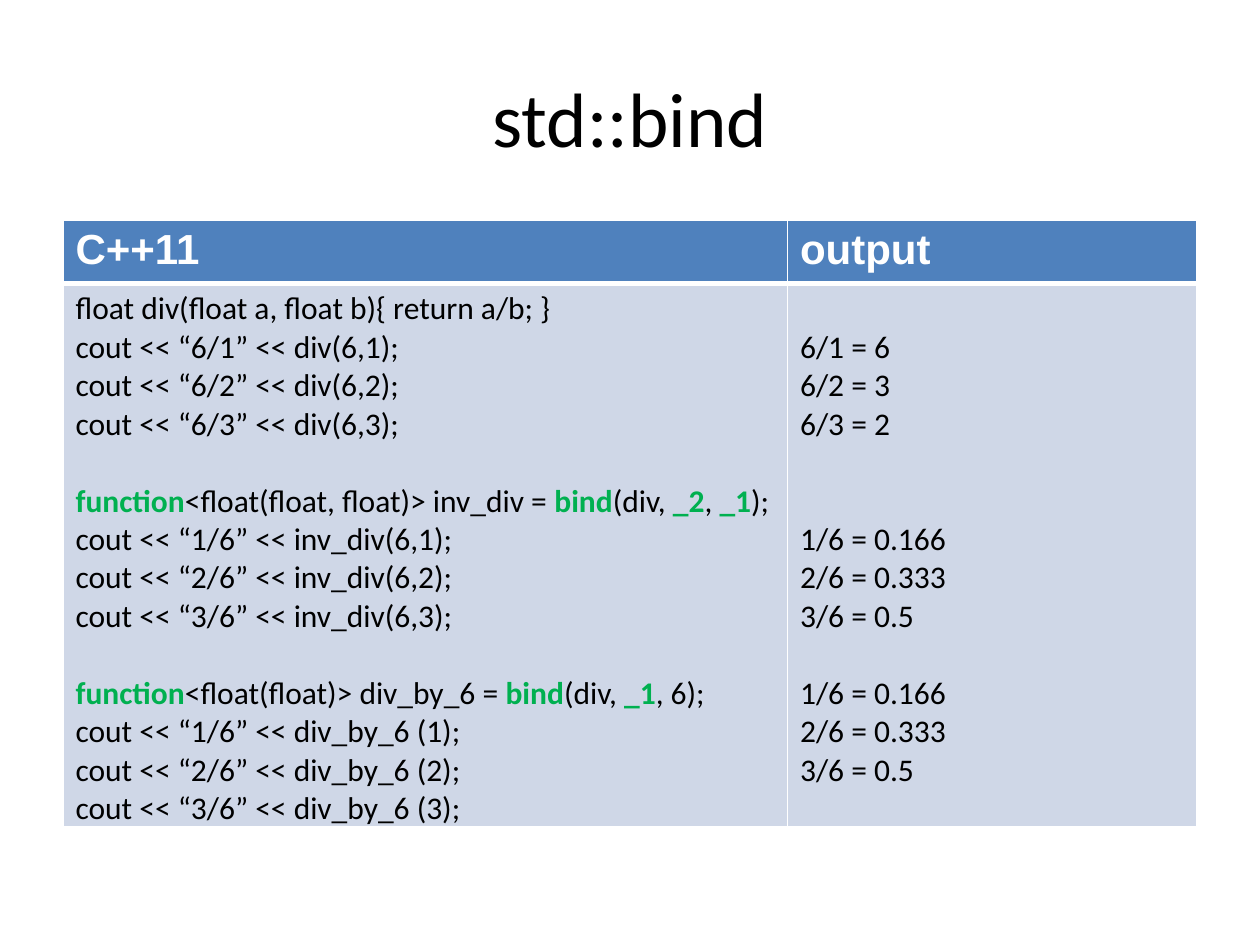
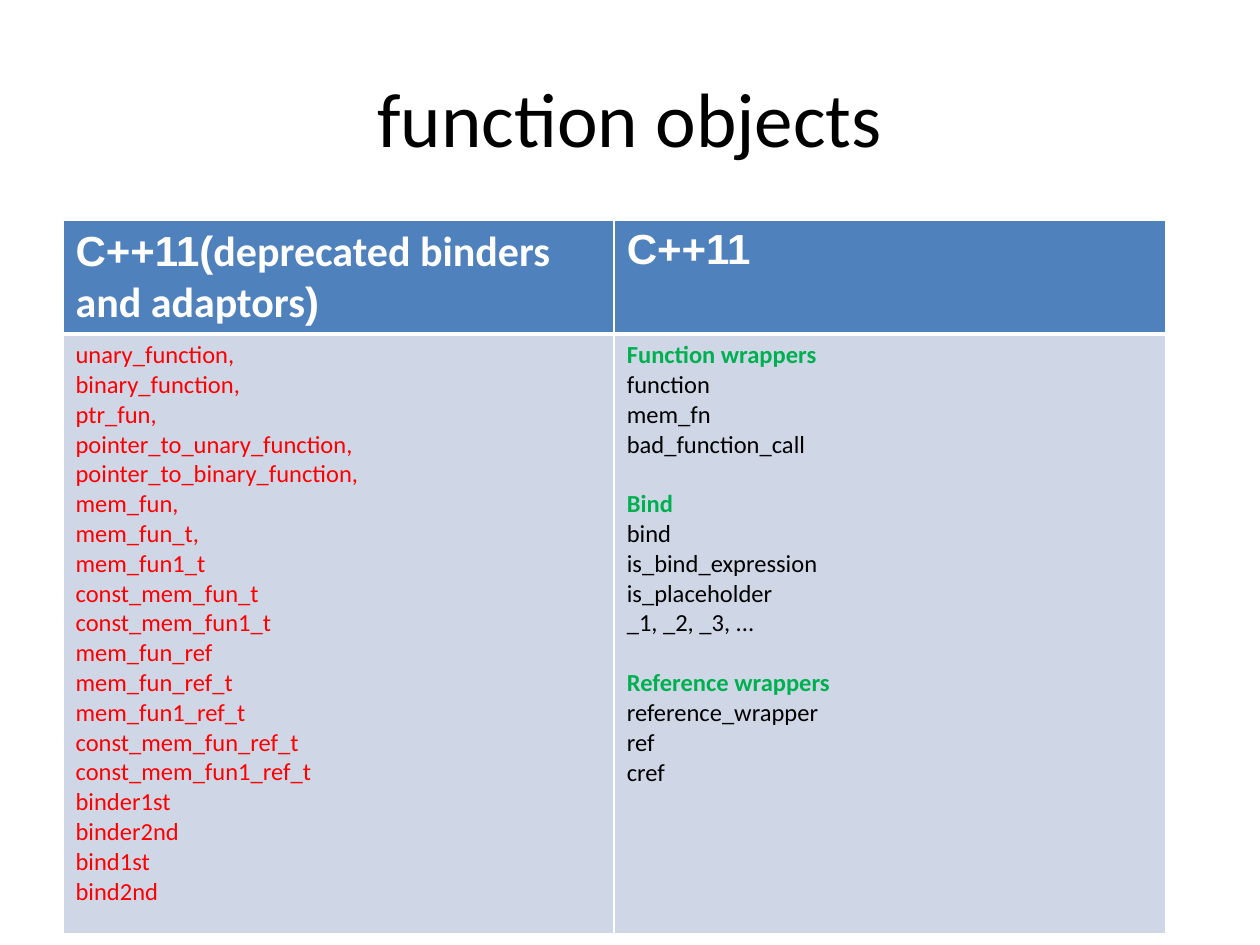
import pptx
import pptx.dml.color
import pptx.enum.text
import pptx.oxml.ns
import pptx.util
import lxml.etree

Pt = pptx.util.Pt

COLORS = {
    "header": "4F81BD",
    "body": "CFD7E7",
    "white": "FFFFFF",
    "black": "000000",
    "new": "00B050",
    "deprecated": "FF0000",
}
BODY_FONT = "Calibri"
HEADER_FONT = "Arial"
LINE_HEIGHT = 1.22  # height of a Calibri line, as a multiple of the text size
MARGIN = 3.6
TABLE_LEFT, TABLE_TOP = 36, 126


def rgb(name):
    """Return a palette colour."""
    return pptx.dml.color.RGBColor.from_string(COLORS[name])


def add_span(para, text, size, color, font=BODY_FONT, bold=False):
    """Add one formatted run to a paragraph."""
    span = para.add_run()
    span.text = text
    span.font.size = Pt(size)
    span.font.name = font
    span.font.bold = bold
    span.font.color.rgb = rgb(color)


def add_page(deck, title):
    """Add a blank slide with a centred title."""
    page = deck.slides.add_slide(deck.slide_layouts[6])
    box = page.shapes.add_textbox(Pt(36), Pt(21.6), Pt(648), Pt(90))
    frame = box.text_frame
    frame.word_wrap = True
    frame.vertical_anchor = pptx.enum.text.MSO_ANCHOR.MIDDLE
    para = frame.paragraphs[0]
    para.alignment = pptx.enum.text.PP_ALIGN.CENTER
    add_span(para, title, 44, "black")
    return page


def style_cell(cell, fill, top, bottom):
    """Give a cell white borders and a solid fill."""
    properties = cell._tc.get_or_add_tcPr()
    for side, width in (("L", 1), ("R", 1), ("T", top), ("B", bottom)):
        line = lxml.etree.SubElement(
            properties, pptx.oxml.ns.qn("a:ln" + side), w=str(Pt(width)))
        solid = lxml.etree.SubElement(line, pptx.oxml.ns.qn("a:solidFill"))
        lxml.etree.SubElement(
            solid, pptx.oxml.ns.qn("a:srgbClr"), val=COLORS["white"])
    cell.fill.solid()
    cell.fill.fore_color.rgb = rgb(fill)
    cell.margin_top = cell.margin_bottom = Pt(MARGIN)


def fill_header(cell, spans):
    """Write the (text, font) spans of a column heading."""
    style_cell(cell, "header", 1, 3)
    for text, font in spans:
        add_span(cell.text_frame.paragraphs[0], text, 24, "white", font, True)


def fill_body(cell, lines, size, color):
    """Write lines; *stars* mark new features, None skips one line."""
    style_cell(cell, "body", 3, 1)
    skipped = 0
    para = None
    for line in lines:
        if line is None:
            skipped += 1
            continue
        gap = round(skipped * size * LINE_HEIGHT, 2)
        if para is None:
            para = cell.text_frame.paragraphs[0]
            cell.margin_top = Pt(MARGIN + gap)
        else:
            para = cell.text_frame.add_paragraph()
            para.space_before = Pt(gap)
        for index, text in enumerate(line.split("*")):
            marked = index % 2 == 1
            if text:
                add_span(para, text, size, "new" if marked else color, bold=marked)
        skipped = 0


def add_comparison(page, widths, heights, headers, columns, size):
    """Add a table with one heading and one block of lines per column."""
    table = page.shapes.add_table(
        2, len(widths), Pt(TABLE_LEFT), Pt(TABLE_TOP),
        Pt(sum(widths)), Pt(sum(heights))).table
    table.horz_banding = False
    for row, height in zip(table.rows, heights):
        row.height = Pt(height)
    for index, width in enumerate(widths):
        table.columns[index].width = Pt(width)
        fill_header(table.cell(0, index), headers[index])
        lines, color = columns[index]
        fill_body(table.cell(1, index), lines, size, color)


def add_bind_page(deck):
    """Show calls of std::bind beside their output."""
    numbers = (1, 2, 3)
    code = [
        "float div(float a, float b){ return a/b; }",
        *[f"cout << “6/{n}” << div(6,{n});" for n in numbers],
        None,
        "*function*<float(float, float)> inv_div = *bind*(div, *_2*, *_1*);",
        *[f"cout << “{n}/6” << inv_div(6,{n});" for n in numbers],
        None,
        "*function*<float(float)> div_by_6 = *bind*(div, *_1*, 6);",
        *[f"cout << “{n}/6” << div_by_6 ({n});" for n in numbers],
    ]
    sixths = ["1/6 = 0.166", "2/6 = 0.333", "3/6 = 0.5"]
    output = [None, "6/1 = 6", "6/2 = 3", "6/3 = 2", None, None,
              *sixths, None, *sixths]
    add_comparison(
        add_page(deck, "std::bind"), (414, 234), (30, 288),
        ([("C++11", HEADER_FONT)], [("output", HEADER_FONT)]),
        ((code, "black"), (output, "black")), 18)


def add_objects_page(deck):
    """Compare deprecated function objects with their successors."""
    deprecated = [
        "unary_function,", "binary_function,", "ptr_fun,",
        "pointer_to_unary_function,", "pointer_to_binary_function,",
        "mem_fun,", "mem_fun_t,", "mem_fun1_t", "const_mem_fun_t",
        "const_mem_fun1_t", "mem_fun_ref", "mem_fun_ref_t",
        "mem_fun1_ref_t", "const_mem_fun_ref_t", "const_mem_fun1_ref_t",
        "binder1st", "binder2nd", "bind1st", "bind2nd",
    ]
    current = [
        "*Function wrappers*", "function", "mem_fn", "bad_function_call", None,
        "*Bind*", "bind", "is_bind_expression", "is_placeholder",
        "_1, _2, _3, ...", None,
        "*Reference wrappers*", "reference_wrapper", "ref", "cref",
    ]
    old_header = [("C++11(", HEADER_FONT),
                  ("deprecated binders and adaptors", BODY_FONT),
                  (")", HEADER_FONT)]
    add_comparison(
        add_page(deck, "function objects"), (315, 315), (36, 343),
        (old_header, [("C++11", HEADER_FONT)]),
        ((deprecated, "deprecated"), (current, "black")), 14)


def main():
    """Build and save the deck."""
    deck = pptx.Presentation()
    deck.slide_width, deck.slide_height = Pt(720), Pt(540)
    add_bind_page(deck)
    add_objects_page(deck)
    deck.save("out.pptx")


main()
